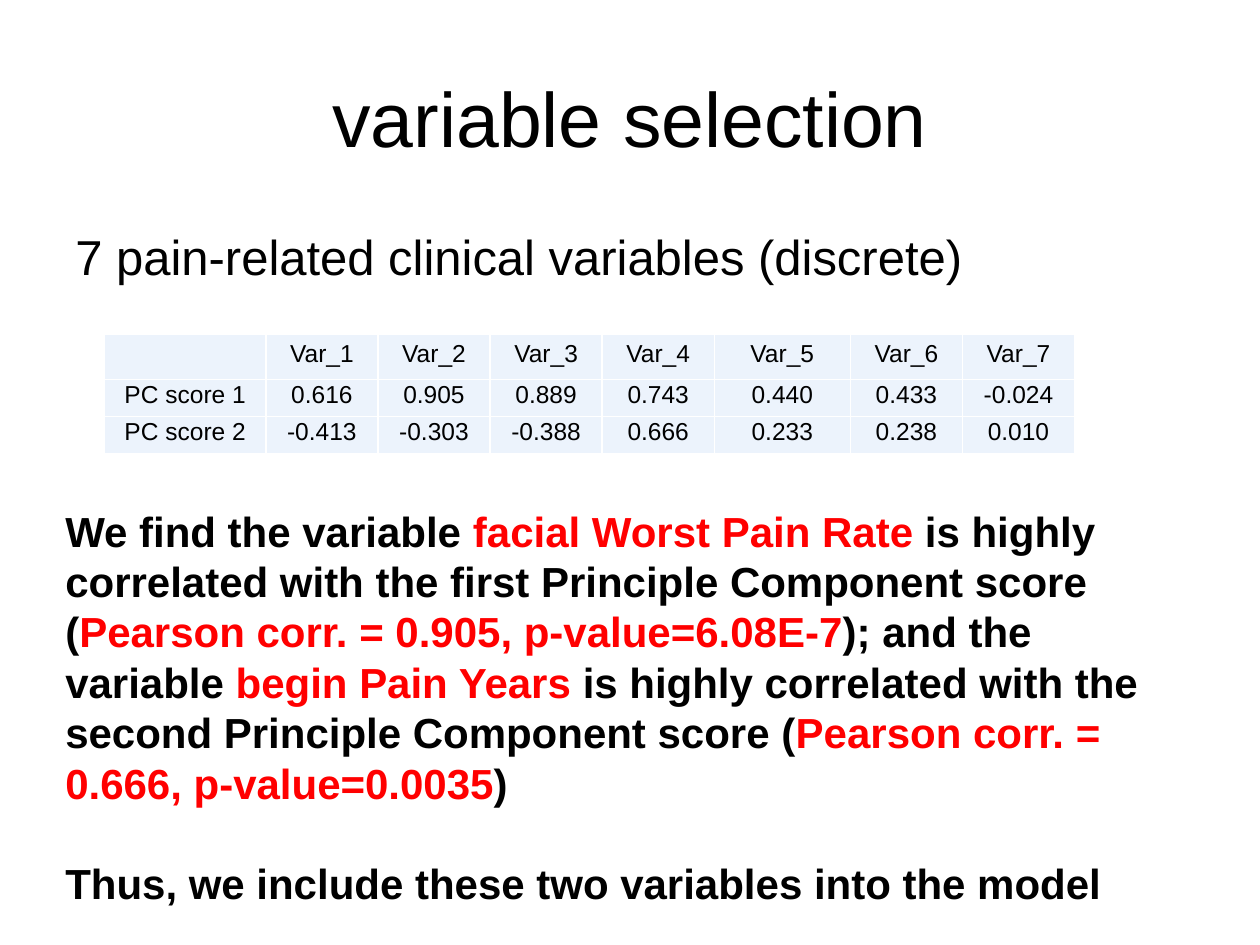
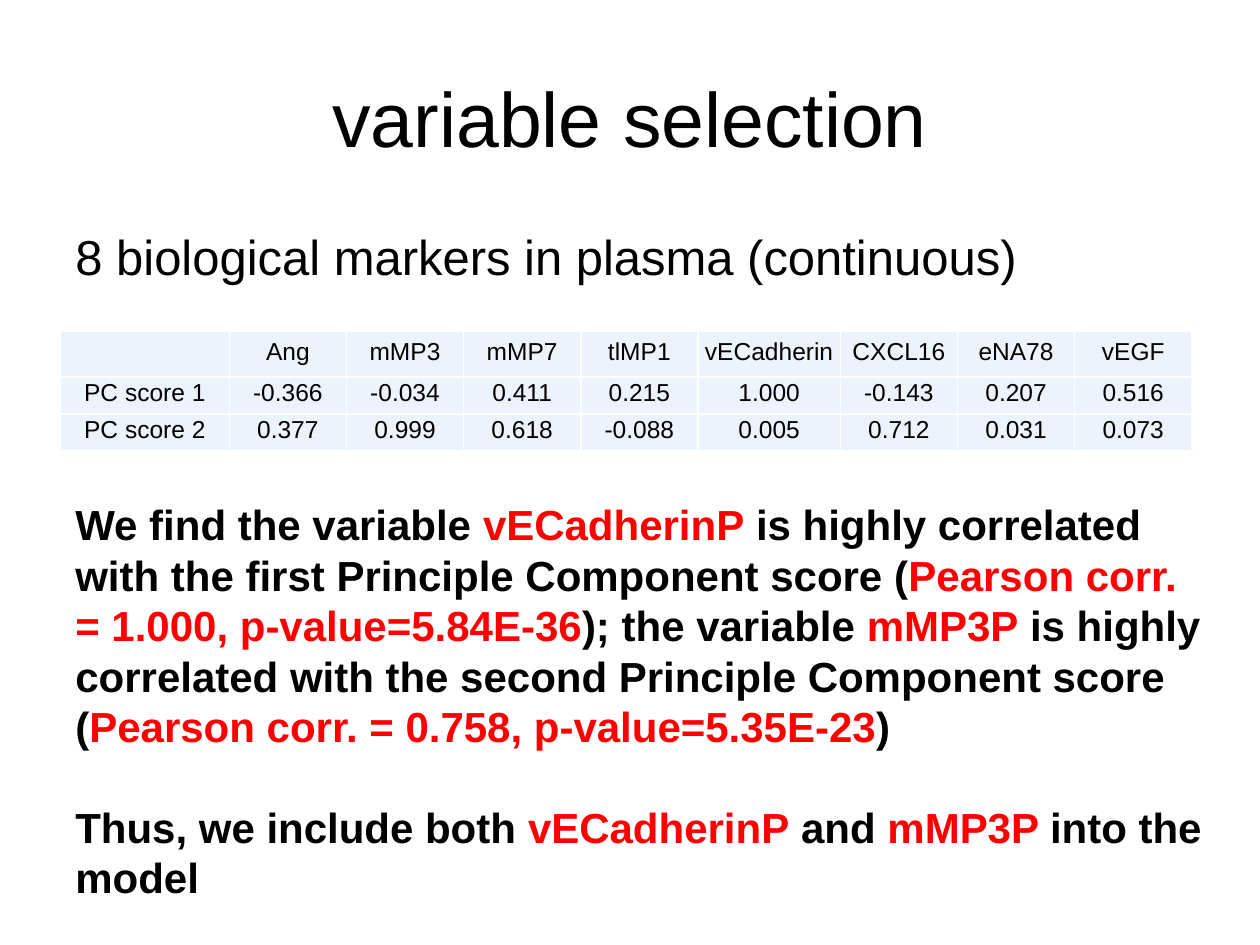
from lxml.etree import SubElement
from pptx import Presentation
from pptx.dml.color import RGBColor
from pptx.enum.text import MSO_ANCHOR, PP_ALIGN
from pptx.oxml.ns import qn
from pptx.util import Inches, Pt

COLORS = {"text": "000000", "emphasis": "FF0000", "cell": "ECF3FC", "border": "FFFFFF"}
FONT = "Arial"
ROW_HEIGHT = 0.29

SLIDES = [
    {
        "subtitle": "7 pain-related clinical variables (discrete)",
        "table_at": (0.83, 2.65),
        "widths": {"label": 1.28, "value": 0.89, "wide": 1.08},
        "rows": [
            ["", "Var_1", "Var_2", "Var_3", "Var_4", "Var_5", "Var_6", "Var_7"],
            ["PC score 1", "0.616", "0.905", "0.889", "0.743", "0.440", "0.433", "-0.024"],
            ["PC score 2", "-0.413", "-0.303", "-0.388", "0.666", "0.233", "0.238", "0.010"],
        ],
        "findings_at": (0.42, 3.96),
        "findings": [
            ["We find the variable ", "facial Worst Pain Rate",
             " is highly correlated with the first Principle Component score (",
             "Pearson corr. = 0.905, p-value=6.08E-7", "); and the variable ",
             "begin Pain Years ",
             "is highly correlated with the second Principle Component score (",
             "Pearson corr. = 0.666, p-value=0.0035", ")"],
            ["Thus, we include these two variables into the model"],
        ],
    },
    {
        "subtitle": "8 biological markers in plasma (continuous)",
        "table_at": (0.48, 2.63),
        "widths": {"label": 1.34, "value": 0.93, "wide": 1.13},
        "rows": [
            ["", "Ang", "mMP3", "mMP7", "tlMP1", "vECadherin", "CXCL16", "eNA78", "vEGF"],
            ["PC score 1", "-0.366", "-0.034", "0.411", "0.215", "1.000", "-0.143", "0.207", "0.516"],
            ["PC score 2", "0.377", "0.999", "0.618", "-0.088", "0.005", "0.712", "0.031", "0.073"],
        ],
        "findings_at": (0.5, 3.91),
        "findings": [
            ["We find the variable ", "vECadherinP",
             " is highly correlated with the first Principle Component score (",
             "Pearson corr. = 1.000, p-value=5.84E-36", "); the variable ", "mMP3P",
             " is highly correlated with the second Principle Component score (",
             "Pearson corr. = 0.758, p-value=5.35E-23", ")"],
            ["Thus, we include both ", "vECadherinP", " and ", "mMP3P ", "into the model"],
        ],
    },
]


def write(frame, paragraphs, size, bold=False, align=PP_ALIGN.LEFT, gap=0):
    """Fill a frame; each paragraph lists runs that alternate plain and emphasised."""
    frame.word_wrap = True
    for number, runs in enumerate(paragraphs):
        paragraph = frame.paragraphs[0] if number == 0 else frame.add_paragraph()
        paragraph.alignment = align
        if number:
            paragraph.space_before = Pt(gap)
        for position, words in enumerate(runs):
            run = paragraph.add_run()
            run.text = words
            run.font.name = FONT
            run.font.size = Pt(size)
            run.font.bold = bold
            color = COLORS["emphasis" if position % 2 else "text"]
            run.font.color.rgb = RGBColor.from_string(color)


def style_cell(cell):
    cell.vertical_anchor = MSO_ANCHOR.MIDDLE
    cell.margin_left = cell.margin_right = cell.margin_top = Inches(0.01)
    cell.margin_bottom = Inches(0.05)
    properties = cell._tc.get_or_add_tcPr()
    for side in ("a:lnL", "a:lnR", "a:lnT", "a:lnB"):
        line = SubElement(properties, qn(side), w=str(Pt(1)))
        SubElement(SubElement(line, qn("a:solidFill")), qn("a:srgbClr"), val=COLORS["border"])
    cell.fill.solid()
    cell.fill.fore_color.rgb = RGBColor.from_string(COLORS["cell"])


prs = Presentation()
prs.slide_width, prs.slide_height = Inches(10), Inches(7.5)

for content in SLIDES:
    slide = prs.slides.add_slide(prs.slide_layouts[6])

    # Title and subtitle
    title = slide.shapes.add_textbox(Inches(0.5), Inches(0.3), Inches(9), Inches(1.25))
    title.text_frame.vertical_anchor = MSO_ANCHOR.MIDDLE
    write(title.text_frame, [["variable selection"]], 44, align=PP_ALIGN.CENTER)
    subtitle = slide.shapes.add_textbox(Inches(0.5), Inches(1.75), Inches(9), Inches(0.9))
    write(subtitle.text_frame, [[content["subtitle"]]], 28)

    # Findings below the table
    left, top = content["findings_at"]
    findings = slide.shapes.add_textbox(Inches(left), Inches(top), Inches(9.16), Inches(3.33))
    write(findings.text_frame, content["findings"], 24, bold=True, gap=28.8)

    # Principal component scores: the fifth variable has the wide column
    rows, widths = content["rows"], content["widths"]
    column_widths = [widths["value"]] * len(rows[0])
    column_widths[0], column_widths[5] = widths["label"], widths["wide"]
    left, top = content["table_at"]
    scores = slide.shapes.add_table(
        len(rows), len(rows[0]), Inches(left), Inches(top),
        Inches(sum(column_widths)), Inches(ROW_HEIGHT * len(rows))).table
    for column, width in zip(scores.columns, column_widths):
        column.width = Inches(width)
    for r, row in enumerate(rows):
        scores.rows[r].height = Inches(ROW_HEIGHT)
        for c, value in enumerate(row):
            style_cell(scores.cell(r, c))
            write(scores.cell(r, c).text_frame, [[value]], 14, align=PP_ALIGN.CENTER)

prs.save("out.pptx")
